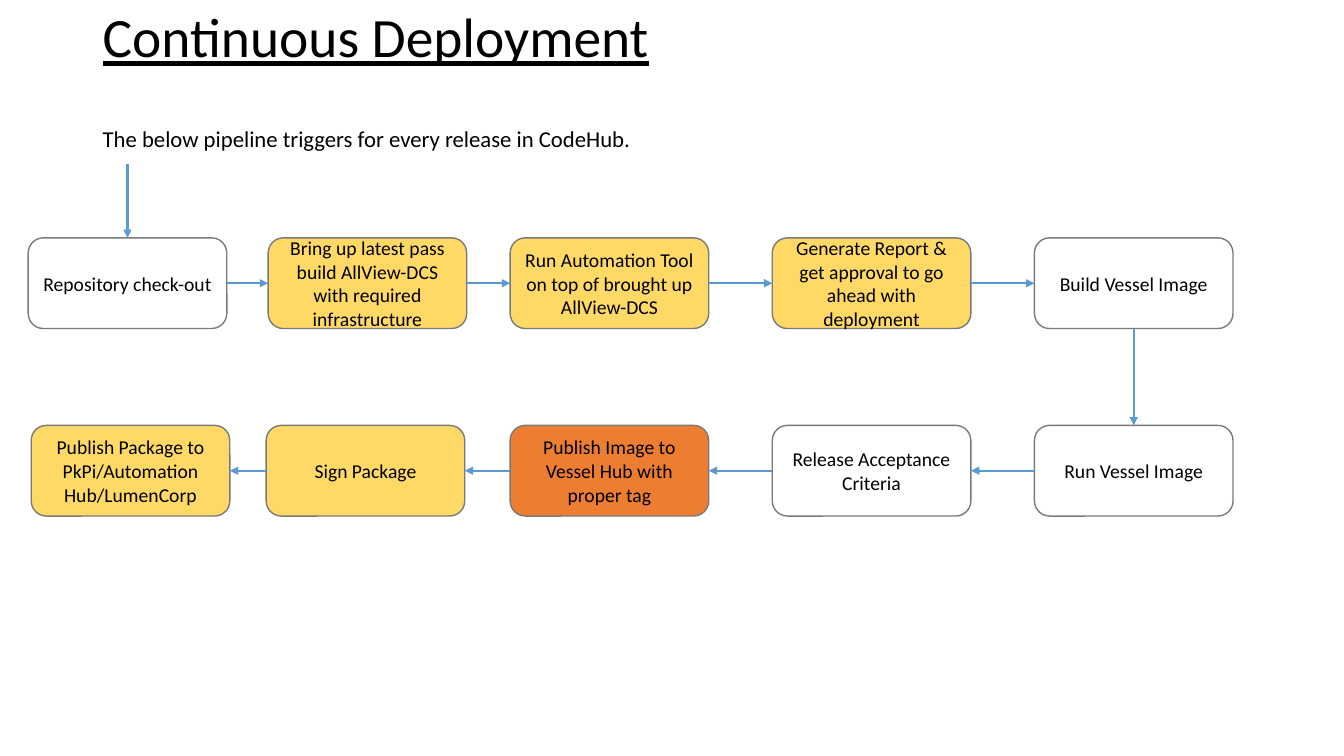
from itertools import pairwise

from lxml import etree
from pptx import Presentation
from pptx.dml.color import RGBColor
from pptx.enum import shapes, text
from pptx.oxml.ns import qn
from pptx.util import Inches, Pt

# Content: steps in running order, as (label, left, fill)
TITLE = "Continuous Deployment"
LEAD = "The below pipeline triggers for every release in CodeHub."
TOP_ROW = [
    ("Repository check-out", 0.28, "plain"),
    ("Bring up latest pass build AllView-DCS with required infrastructure", 2.66, "gold"),
    ("Run Automation Tool on top of brought up AllView-DCS", 5.06, "gold"),
    ("Generate Report & get approval to go ahead with deployment", 7.66, "gold"),
    ("Build Vessel Image", 10.26, "plain"),
]
LOW_ROW = [
    ("Run Vessel Image", 10.26, "plain"),
    ("Release Acceptance Criteria", 7.66, "plain"),
    ("Publish Image to Vessel Hub with proper tag", 5.06, "orange"),
    ("Sign Package", 2.64, "gold"),
    ("Publish Package to PkPi/Automation Hub/LumenCorp", 0.31, "gold"),
]

THEME = {
    "font": "Calibri", "ink": "000000", "edge": "7A7A7A", "arrow": "5B9BD5",
    "plain": "FFFFFF", "gold": "FFD966", "orange": "ED7D31",
    "title": 39.6, "lead": 16.2, "step": 14,
}
WIDE, HIGH = 1.97, 0.9
TOP_Y, LOW_Y = 2.36, 4.22

deck = Presentation()
deck.slide_width, deck.slide_height = Inches(13.33), Inches(7.5)
slide = deck.slides.add_slide(deck.slide_layouts[6])


def tint(name):
    return RGBColor.from_string(THEME[name])


def write(shape, words, size, align=text.PP_ALIGN.LEFT, under=False, pad=0.05):
    frame = shape.text_frame
    frame.word_wrap = True
    frame.vertical_anchor = text.MSO_ANCHOR.MIDDLE
    frame.margin_top = frame.margin_bottom = Inches(pad)
    para = frame.paragraphs[0]
    para.alignment = align
    run = para.add_run()
    run.text = words
    font = run.font
    font.name, font.size = THEME["font"], Pt(THEME[size])
    font.color.rgb = tint("ink")
    font.underline = under


def add_step(words, left, top, fill):
    box = slide.shapes.add_shape(
        shapes.MSO_SHAPE.ROUNDED_RECTANGLE,
        Inches(left), Inches(top), Inches(WIDE), Inches(HIGH))
    box.shadow.inherit = False
    box.fill.solid()
    box.fill.fore_color.rgb = tint(fill)
    box.line.color.rgb = tint("edge")
    box.line.width = Pt(1)
    write(box, words, "step", align=text.PP_ALIGN.CENTER)


def add_arrow(x1, y1, x2, y2):
    link = slide.shapes.add_connector(
        shapes.MSO_CONNECTOR.STRAIGHT,
        Inches(x1), Inches(y1), Inches(x2), Inches(y2))
    link.line.color.rgb = tint("arrow")
    link.line.width = Pt(1.5)
    etree.SubElement(link.line._get_or_add_ln(), qn("a:tailEnd"), type="triangle")
    etree.SubElement(link._element.spPr, qn("a:effectLst"))


# Heading and lead line
for words, size, top, high, under in [
    (TITLE, "title", 0.02, 0.67, True),
    (LEAD, "lead", 1.24, 0.27, False),
]:
    area = slide.shapes.add_textbox(
        Inches(0.92), Inches(top), Inches(11.5), Inches(high))
    write(area, words, size, under=under, pad=0)

# Rows of steps, each linked edge to edge
for row, top in [(TOP_ROW, TOP_Y), (LOW_ROW, LOW_Y)]:
    for words, left, fill in row:
        add_step(words, left, top, fill)
    mid = top + HIGH / 2
    for (_, here, _), (_, there, _) in pairwise(row):
        if there > here:
            add_arrow(here + WIDE, mid, there, mid)
        else:
            add_arrow(here, mid, there + WIDE, mid)

# Trigger into the first step, and the turn to the lower row
first = TOP_ROW[0][1] + WIDE / 2
turn = TOP_ROW[-1][1] + WIDE / 2
add_arrow(first, 1.63, first, TOP_Y)
add_arrow(turn, TOP_Y + HIGH, turn, LOW_Y)

deck.save("out.pptx")
